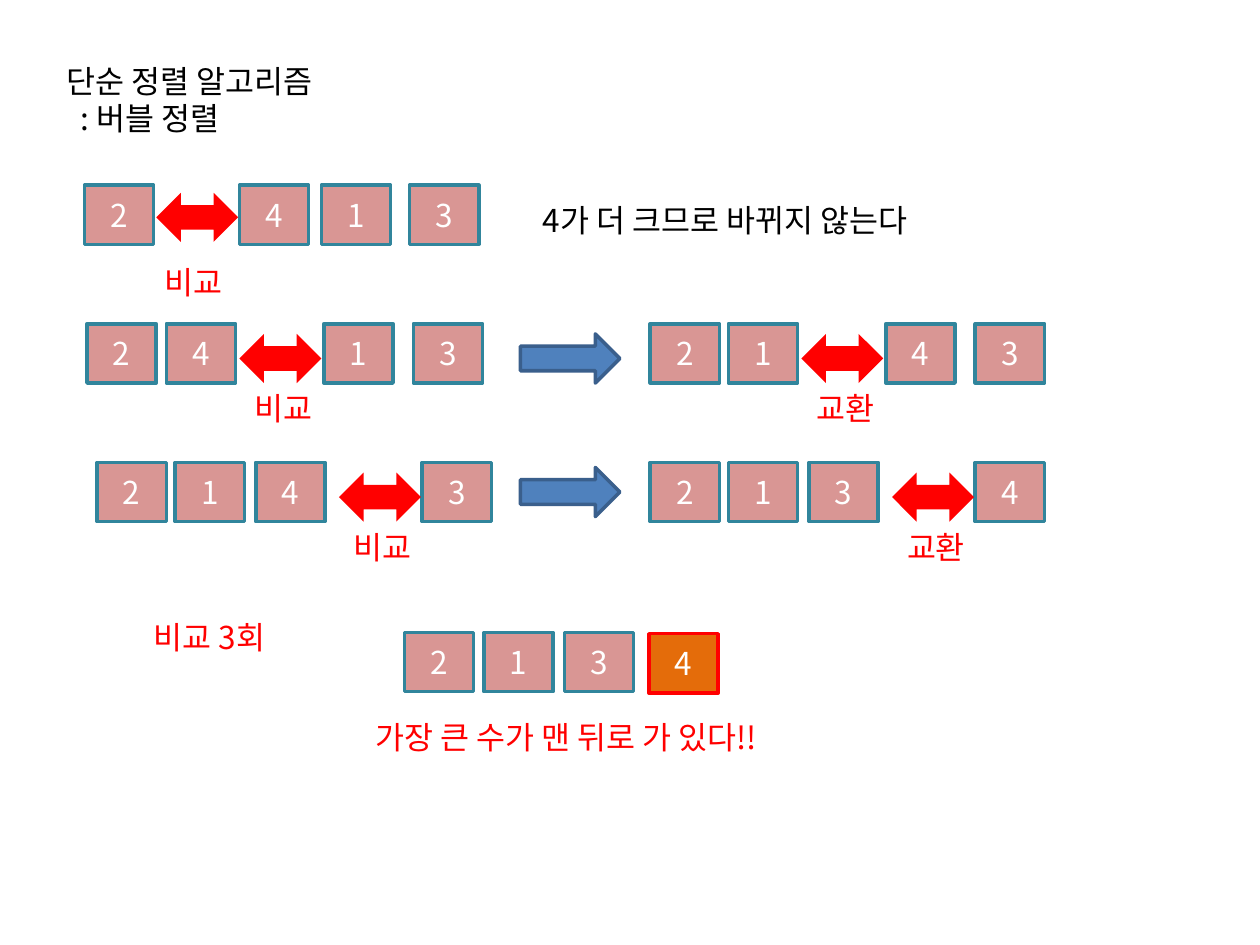
from lxml import etree
from pptx import Presentation
from pptx.dml.color import RGBColor
from pptx.enum.shapes import MSO_SHAPE
from pptx.enum.text import MSO_ANCHOR, MSO_AUTO_SIZE, PP_ALIGN
from pptx.oxml.ns import qn
from pptx.util import Inches, Pt

RECTANGLE = MSO_SHAPE.RECTANGLE
DOUBLE_ARROW = MSO_SHAPE.LEFT_RIGHT_ARROW
RIGHT_ARROW = MSO_SHAPE.RIGHT_ARROW
MIDDLE = MSO_ANCHOR.MIDDLE
CENTER = PP_ALIGN.CENTER
GROW = MSO_AUTO_SIZE.SHAPE_TO_FIT_TEXT

COLUMNS, ROWS = 100, 75
BLACK, WHITE, RED = "000000", "FFFFFF", "FF0000"
PINK, TEAL, ORANGE = "D99694", "31859C", "E46C0A"
BLUE, NAVY = "4F81BD", "3A5F8C"


def color(value):
    return RGBColor.from_string(value)


class SortPage:
    """Draws on one slide; every length is in grid columns or rows."""

    font = "Noto Sans CJK KR"
    size = Pt(18)
    line_width = Pt(2)
    cell_size = (5.5, 4.7)

    def __init__(self, deck):
        self.page = deck.slides.add_slide(deck.slide_layouts[6])
        self.column = deck.slide_width / COLUMNS
        self.row = deck.slide_height / ROWS

    def place(self, left, top, width, height):
        return (round(left * self.column), round(top * self.row),
                round(width * self.column), round(height * self.row))

    def format_text(self, frame, ink):
        for para in frame.paragraphs:
            for span in para.runs:
                span.font.size = self.size
                span.font.name = self.font
                span.font.color.rgb = color(ink)
                east_asian = etree.SubElement(span.font._element, qn("a:ea"))
                east_asian.set("typeface", self.font)

    def text(self, left, top, width, words, ink=RED, height=4):
        box = self.page.shapes.add_textbox(*self.place(left, top, width, height))
        frame = box.text_frame
        frame.word_wrap = True
        frame.auto_size = GROW
        frame.text = words
        self.format_text(frame, ink)
        return frame

    def shape(self, kind, left, top, width, height, fill, line=None):
        shape = self.page.shapes.add_shape(kind, *self.place(left, top, width, height))
        shape.shadow.inherit = False
        shape.fill.solid()
        shape.fill.fore_color.rgb = color(fill)
        if line:
            shape.line.color.rgb = color(line)
            shape.line.width = self.line_width
        else:
            shape.line.fill.background()
        return shape

    def cell(self, left, top, number, fill=PINK, line=TEAL):
        frame = self.shape(RECTANGLE, left, top, *self.cell_size, fill, line).text_frame
        frame.text = number
        frame.vertical_anchor = MIDDLE
        frame.paragraphs[0].alignment = CENTER
        self.format_text(frame, WHITE)

    def cells(self, top, numbers, lefts):
        for number, left in zip(numbers, lefts):
            self.cell(left, top, number)

    def double_arrow(self, left, top):
        self.shape(DOUBLE_ARROW, left, top, 6.5, 3.9, RED)

    def step(self, top, numbers, lefts, arrow_left, action):
        """A row of cells with a labelled double arrow in its gap."""
        self.cells(top, numbers, lefts)
        self.double_arrow(arrow_left, top + 0.8)
        self.text(arrow_left + 0.2, top + 4.7, 7.1, action)

    def next_arrow(self, top):
        self.shape(RIGHT_ARROW, 41.3, top, 7.9, 3.9, BLUE, NAVY)


def main():
    deck = Presentation()
    deck.slide_width, deck.slide_height = Inches(10), Inches(7.5)
    page = SortPage(deck)

    title = page.text(4.3, 4.4, 24, "단순 정렬 알고리즘\n: 버블 정렬", BLACK, 7.1)
    subtitle = title.paragraphs[1]._p.get_or_add_pPr()
    subtitle.set("marL", str(Inches(0.11)))

    page.cells(14.7, "2413", (6.7, 19, 25.5, 32.5))
    page.double_arrow(12.4, 15.3)
    page.text(12.1, 20.4, 7.1, "비교")
    page.text(42.1, 15.5, 35.3, "4가 더 크므로 바뀌지 않는다", BLACK)

    page.step(25.7, "2413", (6.9, 13.2, 25.7, 32.8), 19, "비교")
    page.next_arrow(26.5)
    page.step(25.7, "2143", (51.6, 57.8, 70.3, 77.4), 63.6, "교환")

    page.step(36.7, "2143", (7.7, 13.9, 20.3, 33.5), 26.9, "비교")
    page.next_arrow(37.1)
    page.step(36.7, "2134", (51.6, 57.8, 64.2, 77.4), 70.8, "교환")

    page.cells(50.2, "213", (32.1, 38.4, 44.8))
    page.cell(51.5, 50.3, "4", ORANGE, RED)
    page.text(28.8, 56.5, 36.6, "가장 큰 수가 맨 뒤로 가 있다!!")
    page.text(11.2, 48.6, 11.9, "비교 3회")

    deck.save("out.pptx")


if __name__ == "__main__":
    main()
